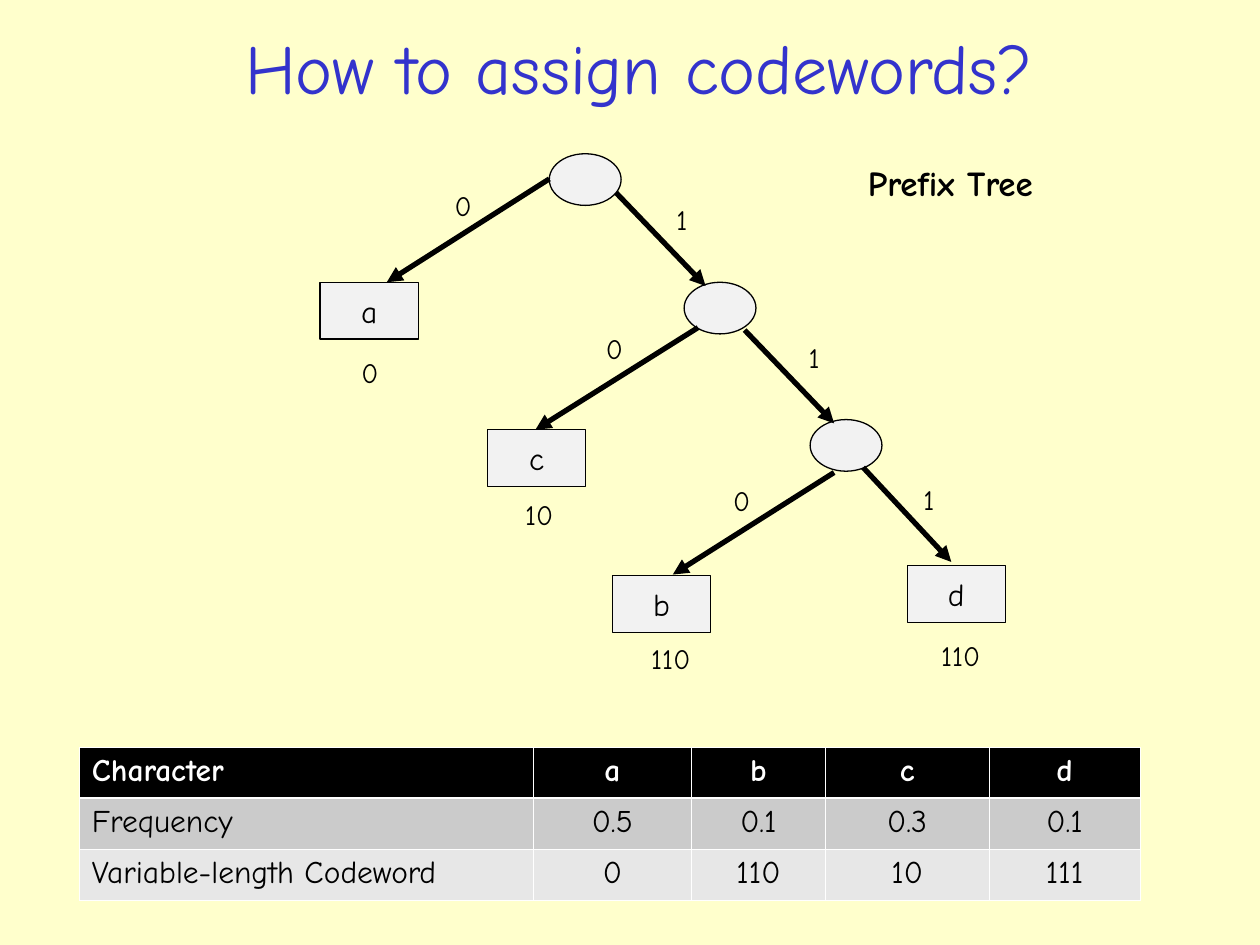
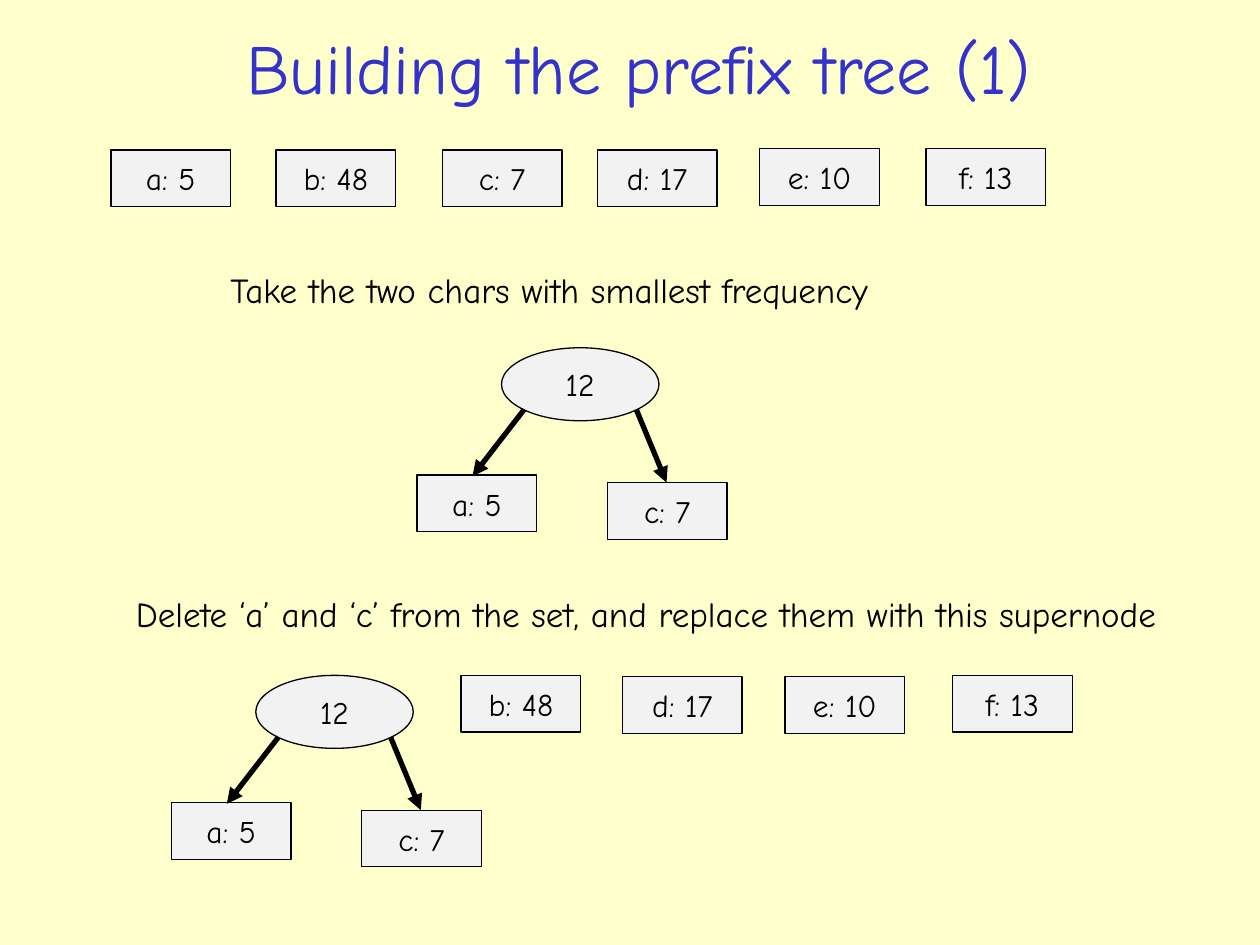
"""Build two slides on prefix trees: assigning codewords and merging the rarest characters."""
from lxml.etree import SubElement
from pptx import Presentation
from pptx.dml.color import RGBColor
from pptx.enum.shapes import MSO_CONNECTOR, MSO_SHAPE
from pptx.enum.text import MSO_ANCHOR, PP_ALIGN
from pptx.oxml.ns import qn
from pptx.util import Inches, Pt

FONT = "Comic Neue"
CREAM = RGBColor(0xFF, 0xFF, 0xCC)
BLUE = RGBColor(0x33, 0x33, 0xCC)
BLACK = RGBColor(0, 0, 0)
WHITE = RGBColor(0xFF, 0xFF, 0xFF)
NODE_GREY = RGBColor(0xF2, 0xF2, 0xF2)
ROW_FILLS = [BLACK, RGBColor(0xCB, 0xCB, 0xCB), RGBColor(0xE7, 0xE7, 0xE7)]
RECT, OVAL = MSO_SHAPE.RECTANGLE, MSO_SHAPE.OVAL


def add_box(page, text, left, top, width, height, size=18, kind=None, bold=False):
    """Add a tree node of the given kind, or a plain label when there is none."""
    place = [Inches(value) for value in (left, top, width, height)]
    if kind is None:
        box = page.shapes.add_textbox(*place)
        box.text_frame.word_wrap = False
    else:
        box = page.shapes.add_shape(kind, *place)
        box.shadow.inherit = False
        box.fill.solid()
        box.fill.fore_color.rgb = NODE_GREY
        box.line.color.rgb = BLACK
        box.line.width = Pt(0.75)
    if text:
        box.text_frame.text = text
        para = box.text_frame.paragraphs[0]
        para.alignment = PP_ALIGN.CENTER if kind else PP_ALIGN.LEFT
        font = para.runs[0].font
        font.name, font.size, font.bold = FONT, Pt(size), bold
        font.color.rgb = BLACK


def add_arrow(page, *ends):
    """Add a thick black arrow given its start and end coordinates."""
    arrow = page.shapes.add_connector(MSO_CONNECTOR.STRAIGHT, *[Inches(end) for end in ends])
    arrow.line.color.rgb = BLACK
    arrow.line.width = Pt(3)
    SubElement(arrow.line._get_or_add_ln(), qn("a:tailEnd"), type="triangle")
    SubElement(arrow._element.spPr, qn("a:effectLst"))


deck = Presentation()
deck.slide_width, deck.slide_height = Inches(10), Inches(7.5)
pages = []
for heading in ("How to assign codewords?", "Building the prefix tree (1)"):
    page = deck.slides.add_slide(deck.slide_layouts[5])
    page.background.fill.solid()
    page.background.fill.fore_color.rgb = CREAM
    title = page.shapes.title
    title.left, title.top = Inches(0.3), Inches(0.15)
    title.width, title.height = Inches(9.54), Inches(0.76)
    title.text_frame.text = heading
    title.text_frame.vertical_anchor = MSO_ANCHOR.MIDDLE
    para = title.text_frame.paragraphs[0]
    para.alignment = PP_ALIGN.CENTER
    font = para.runs[0].font
    font.name, font.size = FONT, Pt(40)
    font.color.rgb = BLUE
    pages.append(page)
codeword_page, building_page = pages

leaves = [("a", 2.54, 2.24), ("c", 3.87, 3.41), ("b", 4.86, 4.57), ("d", 7.2, 4.49)]
for text, left, top in leaves:
    add_box(codeword_page, text, left, top, 0.78, 0.45, kind=RECT)
for left, top in [(4.36, 1.22), (5.43, 2.24), (6.43, 3.33)]:
    add_box(codeword_page, "", left, top, 0.57, 0.41, kind=OVAL)

branches = [
    (4.36, 1.42, 3.07, 2.24), (4.89, 1.53, 5.6, 2.27),
    (5.54, 2.6, 4.25, 3.41), (5.91, 2.62, 6.62, 3.36),
    (6.62, 3.75, 5.34, 4.56), (6.85, 3.71, 7.55, 4.46),
]
for ends in branches:
    add_arrow(codeword_page, *ends)

bit_labels = [
    ("0", 3.51, 1.45), ("1", 5.27, 1.56), ("0", 4.71, 2.58),
    ("1", 6.32, 2.65), ("0", 5.72, 3.79), ("1", 7.23, 3.78),
]
codeword_labels = [("0", 2.77, 2.77), ("10", 4.07, 3.9), ("110", 5.07, 5.04), ("110", 7.37, 5.02)]
label_widths = {"0": 0.33, "1": 0.29, "10": 0.42, "110": 0.51}
for text, left, top in bit_labels + codeword_labels:
    add_box(codeword_page, text, left, top, label_widths[text], 0.37, size=16)
add_box(codeword_page, "Prefix Tree", 6.79, 1.23, 1.52, 0.44, size=20, bold=True)

code_rows = [
    ["Character", "a", "b", "c", "d"],
    ["Frequency", "0.5", "0.1", "0.3", "0.1"],
    ["Variable-length Codeword", "0", "110", "10", "111"],
]
table = codeword_page.shapes.add_table(
    3, 5, Inches(0.63), Inches(5.93), Inches(8.42), Inches(1.22)).table
table.horz_banding = False
for column, width in zip(table.columns, (3.6, 1.26, 1.06, 1.3, 1.2)):
    column.width = Inches(width)
for row_index, texts in enumerate(code_rows):
    table.rows[row_index].height = Inches(0.405)
    for column_index, text in enumerate(texts):
        cell = table.cell(row_index, column_index)
        for side in ("L", "R", "T", "B"):
            thick = (row_index, side) in ((0, "B"), (1, "T"))
            border = SubElement(cell._tc.get_or_add_tcPr(), qn(f"a:ln{side}"),
                                w=str(Pt(1.47 if thick else 0.45)))
            SubElement(SubElement(border, qn("a:solidFill")), qn("a:srgbClr"), val=str(WHITE))
        cell.fill.solid()
        cell.fill.fore_color.rgb = ROW_FILLS[row_index]
        cell.text_frame.text = text
        para = cell.text_frame.paragraphs[0]
        para.alignment = PP_ALIGN.CENTER if column_index else PP_ALIGN.LEFT
        font = para.runs[0].font
        font.name, font.size, font.bold = FONT, Pt(18), row_index == 0
        font.color.rgb = BLACK if row_index else WHITE

character_set = [
    ("a: 5", 0.88, 1.19), ("b: 48", 2.19, 1.19), ("c: 7", 3.51, 1.19),
    ("d: 17", 4.74, 1.19), ("e: 10", 6.03, 1.18), ("f: 13", 7.35, 1.18),
]
remaining_set = [("b: 48", 3.66, 5.36), ("d: 17", 4.94, 5.37), ("e: 10", 6.23, 5.37), ("f: 13", 7.56, 5.36)]
for text, left, top in character_set + remaining_set:
    add_box(building_page, text, left, top, 0.95, 0.45, kind=RECT)

add_box(building_page, "Take the two chars with smallest frequency", 1.73, 2.08, 5.3, 0.44, size=20)
add_box(building_page, "Delete ‘a’ and ‘c’ from the set, and replace them with this supernode",
        0.98, 4.65, 8.32, 0.44, size=20)

for left, top in [(3.98, 2.76), (2.03, 5.36)]:
    add_box(building_page, "12", left, top, 1.25, 0.58, kind=OVAL)
    add_box(building_page, "a: 5", left - 0.67, top + 1.01, 0.95, 0.45, kind=RECT)
    add_box(building_page, "c: 7", left + 0.84, top + 1.07, 0.95, 0.45, kind=RECT)
    add_arrow(building_page, left + 0.18, top + 0.49, left - 0.23, top + 1.02)
    add_arrow(building_page, left + 1.07, top + 0.49, left + 1.31, top + 1.07)

deck.save("out.pptx")
